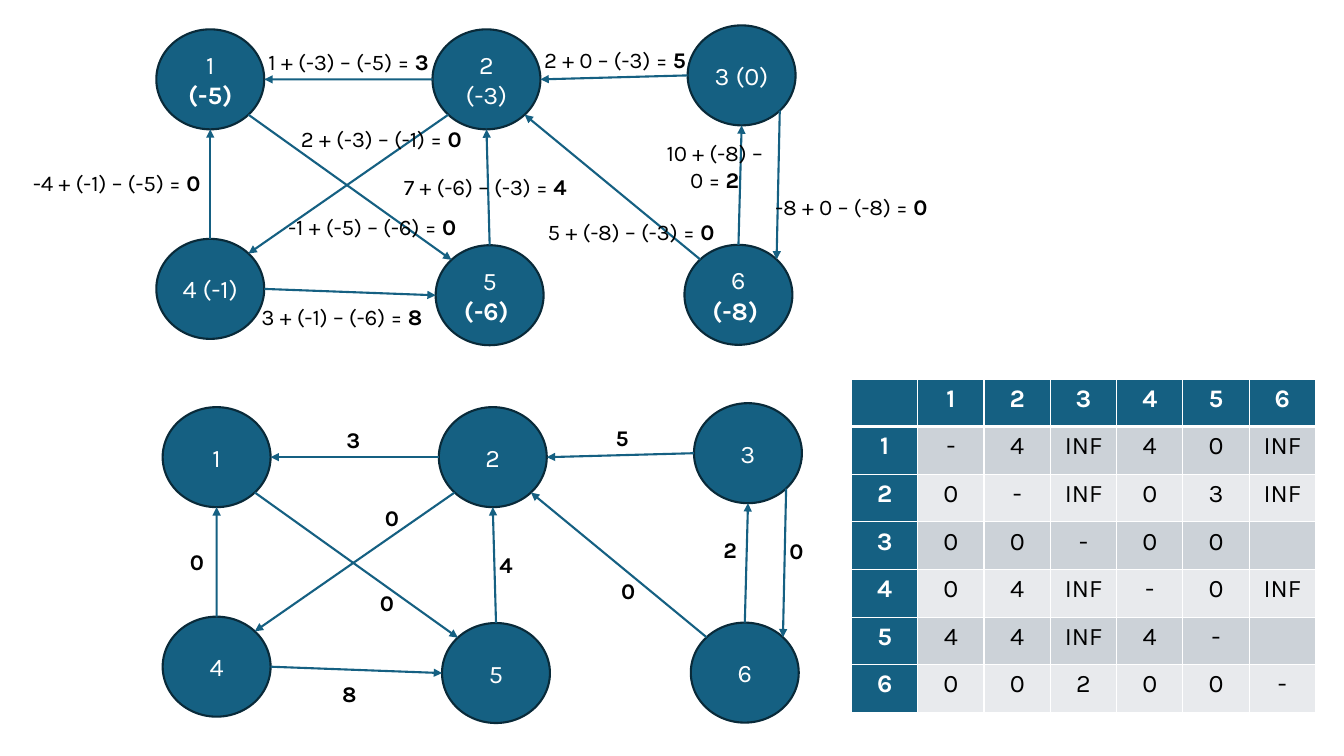
import math

import pptx
import pptx.dml.color
import pptx.enum.shapes
import pptx.enum.text
import pptx.oxml
import pptx.oxml.ns
import pptx.util

Cm = pptx.util.Cm
Pt = pptx.util.Pt

FONT = "Karla"
BLUE, NAVY, WHITE, BLACK = "156082", "092A39", "FFFFFF", "000000"
BANDS = ["CCD2D8", "E8EAED"]

NODE_W, NODE_H = 2.72, 2.52
NODES = {1: (0, 0.1), 2: (6.96, 0.1), 3: (13.39, 0),
         4: (0, 5.38), 5: (7.04, 5.54), 6: (13.31, 5.53)}
TOP, TOP_LEFT, LEFT, BOTTOM_LEFT, BOTTOM, BOTTOM_RIGHT, RIGHT, TOP_RIGHT = range(8)

EDGES = [
    (4, TOP, 1, BOTTOM, 5.89),
    (1, BOTTOM_RIGHT, 5, TOP_LEFT, 7.39),
    (2, BOTTOM_LEFT, 4, TOP_RIGHT, 6.32),
    (4, RIGHT, 5, LEFT, 7.37),
    (2, LEFT, 1, RIGHT, 4.67),
    (5, TOP, 2, BOTTOM, 6.32),
    (3, LEFT, 2, RIGHT, 4.42),
    (6, TOP_LEFT, 2, BOTTOM_RIGHT, 7.37),
    (6, TOP, 3, BOTTOM, 3.3),
    (3, BOTTOM_RIGHT, 6, TOP_RIGHT, 7.92),
]

POTENTIAL_NODES = [("1 ", "(-5)"), ("2 (-3)", ""), ("3 (0)", ""),
                   ("4 (-1)", ""), ("5 ", "(-6) "), ("6 ", "(-8) ")]
POTENTIAL_LABELS = [
    (-3.94, 3.51, "-4 + (-1) – (-5) = ", "0"),
    (1.75, 4.6, "-1 + (-5) – (-6) = ", "0"),
    (2.51, 2.39, "2 + (-3) – (-1) = ", "0"),
    (0.99, 6.88, "3 + (-1) – (-6) = ", "8"),
    (2.51, 0.46, "1 + (-3) – (-5) = ", "3 "),
    (5.13, 3.61, "7 + (-6) – (-3) = ", "4"),
    (9.35, 0.41, "2 + 0 – (-3) = ", "5"),
    (8.28, 4.72, "5 + (-8) – (-3) = ", "0"),
    (12.42, 2.74, "10 + (-8) – 0 = ", "2"),
    (13.56, 4.11, "-8 + 0 – (-8) = ", "0"),
]

WEIGHT_NODES = [(str(n), "") for n in NODES]
WEIGHT_LABELS = [
    (-2.08, 3.53, "", "0"),
    (1.96, 4.57, "", "0"),
    (2.62, 2.41, "", "0"),
    (1.02, 6.86, "", "8"),
    (2.54, 0.46, "", "3 "),
    (5.49, 3.61, "", "4"),
    (9.37, 0.41, "", "5"),
    (8.05, 4.27, "", "0"),
    (12.65, 3.23, "", "2"),
    (12.01, 3.25, "", "0"),
]

DISTANCES = [
    ["", "1", "2", "3", "4", "5", "6"],
    ["1", "-", "4", "INF", "4", "0", "INF"],
    ["2", "0", "-", "INF", "0", "3", "INF"],
    ["3", "0", "0", "-", "0", "0", ""],
    ["4", "0", "4", "INF", "-", "0", "INF"],
    ["5", "4", "4", "INF", "4", "-", ""],
    ["6", "0", "0", "2", "0", "0", "-"],
]


def rgb(value):
    return pptx.dml.color.RGBColor.from_string(value)


def write(tf, plain="", strong="", size=18, color=BLACK):
    p = tf.paragraphs[0]
    p.alignment = pptx.enum.text.PP_ALIGN.CENTER
    for text, bold in ((plain, False), (strong, True)):
        if text:
            r = p.add_run()
            r.text = text
            r.font.name = FONT
            r.font.size = Pt(size)
            r.font.bold = bold
            r.font.color.rgb = rgb(color)


def add_node(s, x, y, plain, strong):
    sp = s.shapes.add_shape(pptx.enum.shapes.MSO_SHAPE.OVAL,
                            Cm(x), Cm(y), Cm(NODE_W), Cm(NODE_H))
    sp.shadow.inherit = False
    sp.fill.solid()
    sp.fill.fore_color.rgb = rgb(BLUE)
    sp.line.color.rgb = rgb(NAVY)
    sp.line.width = Pt(1.5)
    sp.text_frame.vertical_anchor = pptx.enum.text.MSO_ANCHOR.MIDDLE
    write(sp.text_frame, plain, strong, color=WHITE)


def rim_point(x, y, node, site):
    angle = math.radians(90 + 45 * site)
    dx, dy = NODES[node]
    return (Cm(x + dx + NODE_W / 2 * (1 + math.cos(angle))),
            Cm(y + dy + NODE_H / 2 * (1 - math.sin(angle))))


def add_arrow(s, start, end):
    c = s.shapes.add_connector(pptx.enum.shapes.MSO_CONNECTOR.STRAIGHT, *start, *end)
    c.line.color.rgb = rgb(BLUE)
    c.line.width = Pt(1.5)
    ln = c.line._get_or_add_ln()
    ln.append(pptx.oxml.parse_xml(
        f'<a:tailEnd {pptx.oxml.ns.nsdecls("a")} type="triangle"/>'))
    ln.addnext(pptx.oxml.parse_xml(f'<a:effectLst {pptx.oxml.ns.nsdecls("a")}/>'))


def add_label(s, x, y, w, plain, strong):
    tf = s.shapes.add_textbox(Cm(x), Cm(y), Cm(w), Cm(0.94)).text_frame
    tf.word_wrap = True
    tf.auto_size = pptx.enum.text.MSO_AUTO_SIZE.SHAPE_TO_FIT_TEXT
    write(tf, plain, strong, size=16)


def add_graph(s, x, y, names, labels):
    for (dx, dy), (plain, strong) in zip(NODES.values(), names):
        add_node(s, x + dx, y + dy, plain, strong)
    for source, source_site, target, target_site, _ in EDGES:
        add_arrow(s, rim_point(x, y, source, source_site),
                  rim_point(x, y, target, target_site))
    for (*_, w), (dx, dy, plain, strong) in zip(EDGES, labels):
        add_label(s, x + dx, y + dy, w, plain, strong)


def set_borders(cell, widths):
    tcPr = cell._tc.get_or_add_tcPr()
    for side, width in widths.items():
        tcPr.append(pptx.oxml.parse_xml(
            f'<a:ln{side} {pptx.oxml.ns.nsdecls("a")} w="{Pt(width)}"><a:solidFill>'
            f'<a:srgbClr val="{WHITE}"/></a:solidFill></a:ln{side}>'))


def add_distances(s, x, y, w, h):
    count = len(DISTANCES)
    table = s.shapes.add_table(count, count, Cm(x), Cm(y), Cm(w), Cm(h)).table
    for i, values in enumerate(DISTANCES):
        table.rows[i].height = Cm(h / count)
        table.columns[i].width = Cm(w / count)
        for j, value in enumerate(values):
            cell = table.cell(i, j)
            heading = i == 0 or j == 0
            set_borders(cell, {"L": 1, "R": 1, "T": 3 if i == 1 else 1,
                               "B": 3 if i == 0 else 1})
            cell.fill.solid()
            cell.fill.fore_color.rgb = rgb(BLUE if heading else BANDS[(i - 1) % 2])
            if heading:
                write(cell.text_frame, strong=value, color=WHITE)
            else:
                write(cell.text_frame, value)


def main():
    prs = pptx.Presentation()
    prs.slide_width, prs.slide_height = Cm(33.87), Cm(19.05)
    s = prs.slides.add_slide(prs.slide_layouts[6])
    add_graph(s, 3.94, 0.64, POTENTIAL_NODES, POTENTIAL_LABELS)
    add_graph(s, 4.1, 10.16, WEIGHT_NODES, WEIGHT_LABELS)
    add_distances(s, 21.46, 9.55, 11.69, 8.4)
    prs.save("out.pptx")


if __name__ == "__main__":
    main()
